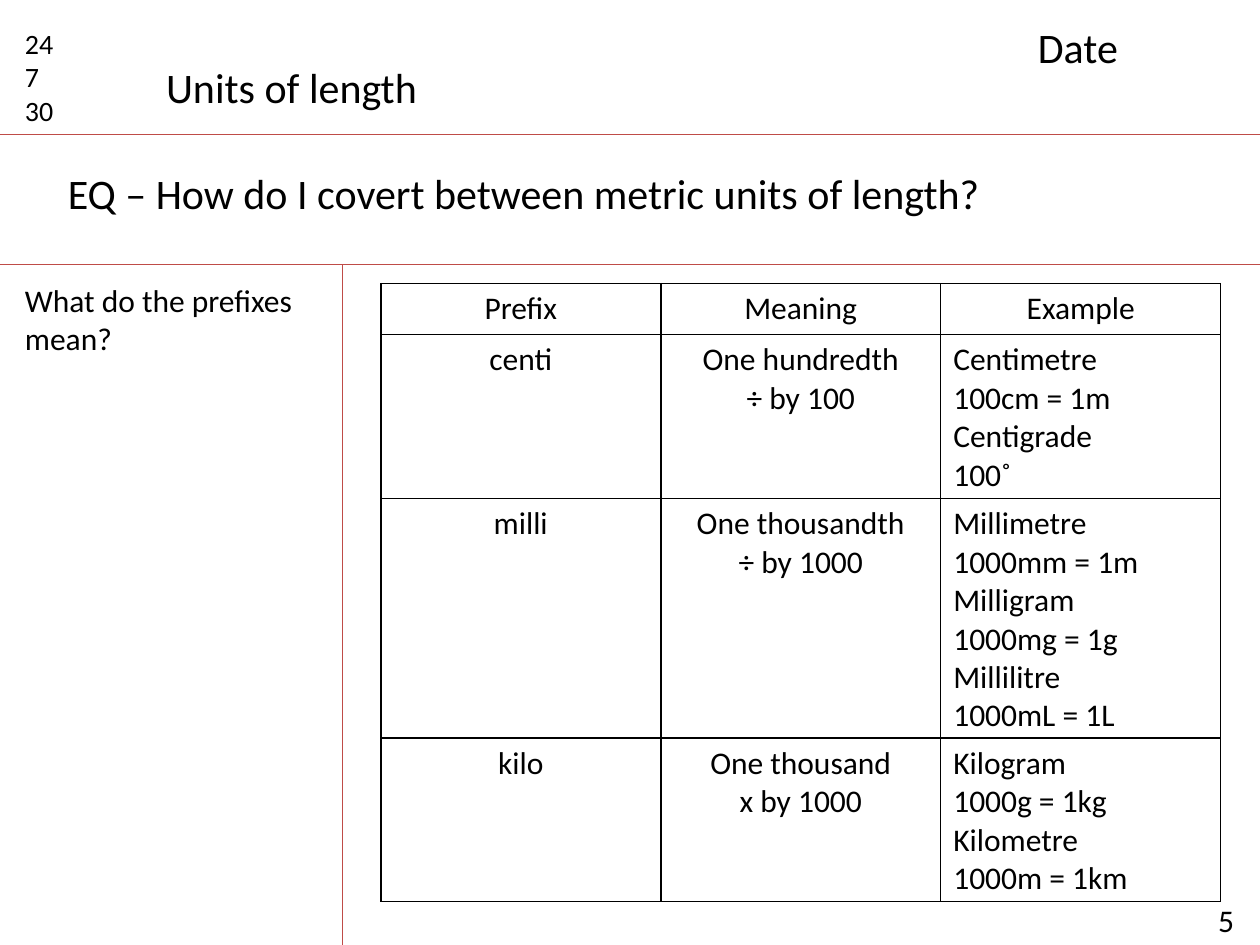
import pptx
import pptx.util
import pptx.dml.color
import pptx.enum.shapes
import pptx.enum.text
import pptx.oxml
import pptx.oxml.ns
from lxml import etree

Pt = pptx.util.Pt
ALIGN = pptx.enum.text.PP_ALIGN
FONT = "Calibri"
COLORS = {"text": "000000", "rule": "BF4C48", "border": "000000"}
WIDTH, HEIGHT = 720, 540
HEADER_BOTTOM, QUESTION_BOTTOM, MARGIN_RIGHT = 77, 151.2, 195.8

PREFIX_ROWS = [
    (["Prefix"], ["Meaning"], ["Example"]),
    (["centi"], ["One hundredth", "÷ by 100"],
     ["Centimetre", "100cm = 1m", "Centigrade", "100˚"]),
    (["milli"], ["One thousandth", "÷ by 1000"],
     ["Millimetre", "1000mm = 1m", "Milligram", "1000mg = 1g",
      "Millilitre", "1000mL = 1L"]),
    (["kilo"], ["One thousand", "x by 1000"],
     ["Kilogram", "1000g = 1kg", "Kilometre", "1000m = 1km"]),
]
ROW_HEIGHTS = [29.2, 93.6, 136.8, 93.6]


def rgb(name):
    return pptx.dml.color.RGBColor.from_string(COLORS[name])


def fill_text(text_frame, lines, size, alignment=ALIGN.LEFT):
    text_frame.text = "\n".join(lines)
    for paragraph in text_frame.paragraphs:
        paragraph.alignment = alignment
        paragraph.font.name = FONT
        paragraph.font.size = Pt(size)
        paragraph.font.color.rgb = rgb("text")


def add_text(slide, left, top, width, height, lines, size, wrap=True):
    text_frame = slide.shapes.add_textbox(
        Pt(left), Pt(top), Pt(width), Pt(height)).text_frame
    text_frame.word_wrap = wrap
    fill_text(text_frame, lines, size)


def add_rule(slide, x1, y1, x2, y2):
    rule = slide.shapes.add_connector(
        pptx.enum.shapes.MSO_CONNECTOR.STRAIGHT, Pt(x1), Pt(y1), Pt(x2), Pt(y2))
    rule.line.color.rgb = rgb("rule")
    rule.line.width = Pt(0.75)
    etree.SubElement(rule._element.spPr, pptx.oxml.ns.qn("a:effectLst"))


def add_borders(cell):
    properties = cell._tc.get_or_add_tcPr()
    for position, side in enumerate(("lnL", "lnR", "lnT", "lnB")):
        properties.insert(position, pptx.oxml.parse_xml(
            f'<a:{side} {pptx.oxml.ns.nsdecls("a")} w="{Pt(1)}"><a:solidFill>'
            f'<a:srgbClr val="{COLORS["border"]}"/></a:solidFill></a:{side}>'))


def add_header(slide, left, top):
    add_text(slide, left + 7.2, top + 11.5, 45.4, 65.5, ["24", "7", "30"], 16)
    add_text(slide, left + 87.8, top + 31.7, 164.9, 36, ["Units of length"], 24, wrap=False)
    add_text(slide, left + 586, top + 8.6, 124.6, 36, ["Date"], 24)


def add_question(slide, left, top):
    add_text(slide, left + 31.7, top + 15.2, 540, 36,
             ["EQ – How do I covert between metric units of length?"], 24, wrap=False)


def add_cue_column(slide, left, top):
    add_text(slide, left + 7.2, top + 5.8, 175.7, 51.1,
             ["What do the prefixes mean?"], 18)


def add_prefix_table(slide, left, top, width):
    columns = len(PREFIX_ROWS[0])
    table = slide.shapes.add_table(
        len(PREFIX_ROWS), columns, Pt(left), Pt(top), Pt(width),
        Pt(sum(ROW_HEIGHTS))).table
    table.first_row = table.horz_banding = False
    for column in table.columns:
        column.width = Pt(width / columns)
    for r, (row, height) in enumerate(zip(PREFIX_ROWS, ROW_HEIGHTS)):
        table.rows[r].height = Pt(height)
        for c, lines in enumerate(row):
            cell = table.cell(r, c)
            is_example = r > 0 and c == columns - 1
            fill_text(cell.text_frame, lines, 18,
                      ALIGN.LEFT if is_example else ALIGN.CENTER)
            cell.fill.background()
            add_borders(cell)


def main():
    presentation = pptx.Presentation()
    presentation.slide_width, presentation.slide_height = Pt(WIDTH), Pt(HEIGHT)
    slide = presentation.slides.add_slide(presentation.slide_layouts[6])

    for y in (HEADER_BOTTOM, QUESTION_BOTTOM):
        add_rule(slide, 0, y, WIDTH, y)
    add_rule(slide, MARGIN_RIGHT, QUESTION_BOTTOM, MARGIN_RIGHT, HEIGHT)

    add_header(slide, 0, 0)
    add_question(slide, 0, HEADER_BOTTOM)
    add_cue_column(slide, 0, QUESTION_BOTTOM)
    add_prefix_table(slide, MARGIN_RIGHT + 21.8, QUESTION_BOTTOM + 10.8, 480)
    add_text(slide, 689, 511.2, 43.2, 28.8, ["5"], 18)

    presentation.save("out.pptx")


if __name__ == "__main__":
    main()
